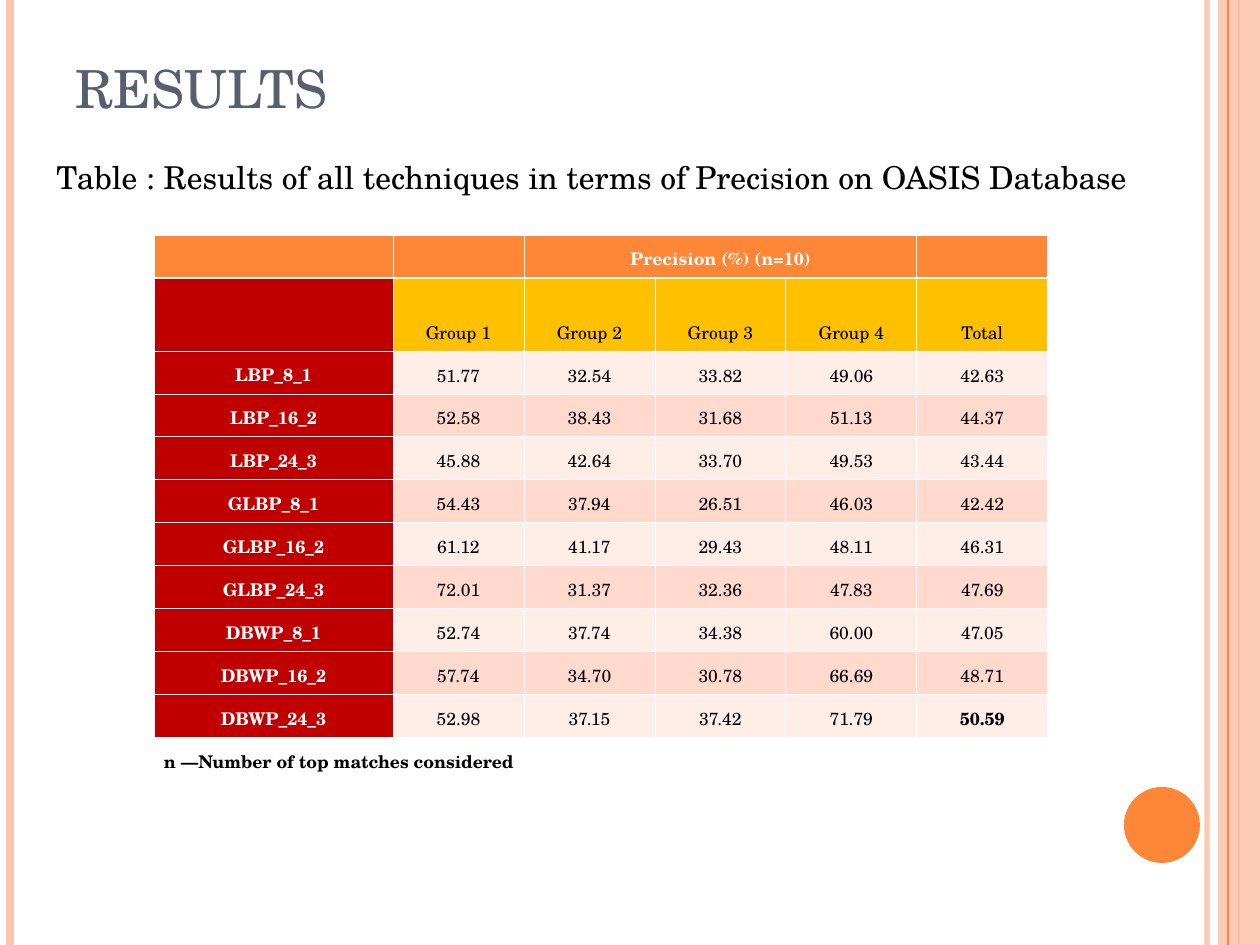
from pptx import Presentation
from pptx.dml.color import RGBColor
from pptx.enum.shapes import MSO_CONNECTOR, MSO_SHAPE
from pptx.enum.text import MSO_ANCHOR, MSO_AUTO_SIZE, PP_ALIGN
from pptx.oxml.ns import qn
from pptx.util import Pt
from lxml.etree import SubElement

PX = 914400 / 126
WIDTH, HEIGHT = 1260, 945
COLORS = {"orange": "FE8637", "peach": "FEC3AE", "slate": "575F6D", "red": "C00000",
          "gold": "FFC000", "light": "FFEDE8", "dark": "FFD9CE",
          "white": "FFFFFF", "black": "000000"}
HEADERS = ["Group 1", "Group 2", "Group 3", "Group 4", "Total"]
RESULTS = [
    ("LBP_8_1", "51.77", "32.54", "33.82", "49.06", "42.63"),
    ("LBP_16_2", "52.58", "38.43", "31.68", "51.13", "44.37"),
    ("LBP_24_3", "45.88", "42.64", "33.70", "49.53", "43.44"),
    ("GLBP_8_1", "54.43", "37.94", "26.51", "46.03", "42.42"),
    ("GLBP_16_2", "61.12", "41.17", "29.43", "48.11", "46.31"),
    ("GLBP_24_3", "72.01", "31.37", "32.36", "47.83", "47.69"),
    ("DBWP_8_1", "52.74", "37.74", "34.38", "60.00", "47.05"),
    ("DBWP_16_2", "57.74", "34.70", "30.78", "66.69", "48.71"),
    ("DBWP_24_3", "52.98", "37.15", "37.42", "71.79", "50.59"),
]


def emu(px):
    """Turn pixels into EMU."""
    return round(px * PX)


def rgb(name):
    """Look up a named colour."""
    return RGBColor.from_string(COLORS[name])


def write(tf, text, size=10, color="black", bold=False, align=PP_ALIGN.LEFT,
          spacing=None, font="TeX Gyre Schola"):
    """Put one formatted paragraph into a text frame."""
    p = tf.paragraphs[0]
    p.alignment = align
    p.line_spacing = spacing
    if not text:
        p._p.get_or_add_endParaRPr().set("sz", str(size * 100))
        return
    r = p.add_run()
    r.text = text
    r.font.name = font
    r.font.size = Pt(size)
    r.font.bold = bold
    r.font.color.rgb = rgb(color)


def set_alpha(sp, percent):
    """Make the solid colour of a shape or line partly transparent."""
    clr = next(sp._element.spPr.iter(qn("a:srgbClr")))
    SubElement(clr, qn("a:alpha")).set("val", str(percent * 1000))


def set_borders(cell, top, bottom):
    """Draw white borders round a table cell."""
    tcPr = cell._tc.get_or_add_tcPr()
    for side, width in (("L", 0.45), ("R", 0.45), ("T", top), ("B", bottom)):
        ln = SubElement(tcPr, qn(f"a:ln{side}"))
        ln.set("w", str(Pt(width)))
        fill = SubElement(ln, qn("a:solidFill"))
        SubElement(fill, qn("a:srgbClr")).set("val", COLORS["white"])


class SlideBuilder:
    """Adds styled elements to the current slide."""

    def __init__(self, prs):
        """Start a slide from the title-only layout."""
        self.s = prs.slides.add_slide(prs.slide_layouts[5])

    def stripe(self, x, color, width, alpha=None):
        """Draw a vertical line over the full slide height."""
        line = self.s.shapes.add_connector(
            MSO_CONNECTOR.STRAIGHT, emu(x), 0, emu(x), emu(HEIGHT))
        line.line.color.rgb = rgb(color)
        line.line.width = Pt(width)
        if alpha:
            set_alpha(line, alpha)
        SubElement(line._element.spPr, qn("a:effectLst"))

    def shape(self, kind, box, color, alpha=None):
        """Draw a filled shape with no outline."""
        sp = self.s.shapes.add_shape(kind, *map(emu, box))
        sp.shadow.inherit = False
        sp.fill.solid()
        sp.fill.fore_color.rgb = rgb(color)
        sp.line.fill.background()
        if alpha:
            set_alpha(sp, alpha)

    def title(self, text, box):
        """Place and fill the title placeholder."""
        sp = self.s.shapes.title
        sp.left, sp.top, sp.width, sp.height = map(emu, box)
        tf = sp.text_frame
        tf.auto_size = MSO_AUTO_SIZE.NONE
        tf.vertical_anchor = MSO_ANCHOR.BOTTOM
        write(tf, text, size=30, color="slate")

    def text(self, text, box, **fmt):
        """Add a wrapping text box."""
        tf = self.s.shapes.add_textbox(*map(emu, box)).text_frame
        tf.word_wrap = True
        write(tf, text, **fmt)

    def cell(self, cell, text, fill, top=0.45, bottom=0.45, align=PP_ALIGN.CENTER, **fmt):
        """Fill and format one table cell."""
        cell.vertical_anchor = MSO_ANCHOR.BOTTOM
        cell.margin_left = cell.margin_right = emu(10)
        cell.margin_top = cell.margin_bottom = emu(6)
        set_borders(cell, top, bottom)
        cell.fill.solid()
        cell.fill.fore_color.rgb = rgb(fill)
        write(cell.text_frame, text, align=align, spacing=1.15, **fmt)

    def table(self, left, top, widths, heights):
        """Add a plain table with the given column widths and row heights."""
        table = self.s.shapes.add_table(
            len(heights), len(widths), emu(left), emu(top),
            emu(sum(widths)), emu(sum(heights))).table
        table.first_row = table.horz_banding = False
        for column, width in zip(table.columns, widths):
            column.width = emu(width)
        for row, height in zip(table.rows, heights):
            row.height = emu(height)
        return table


def add_results_table(b):
    """Fill the table of precision by technique and group."""
    table = b.table(154, 235, [239] + [131] * 5, [43, 73] + [43] * 10)
    last = len(table.rows) - 1
    for col in range(6):
        b.cell(table.cell(0, col), "Precision (%) (n=10)" if col == 2 else "",
               "orange", bottom=1.47, color="white", bold=True)
        b.cell(table.cell(last, col), "" if col else "n —Number of top matches considered",
               "white", align=PP_ALIGN.JUSTIFY, bold=True)
    table.cell(0, 2).merge(table.cell(0, 4))
    table.cell(last, 0).merge(table.cell(last, 5))

    b.cell(table.cell(1, 0), "", "red", top=1.47)
    for col, header in enumerate(HEADERS, 1):
        b.cell(table.cell(1, col), header, "gold", top=1.47)

    best = max(float(row[-1]) for row in RESULTS)
    for i, (name, *values) in enumerate(RESULTS):
        b.cell(table.cell(i + 2, 0), name, "red", color="white", bold=True)
        for col, value in enumerate(values, 1):
            b.cell(table.cell(i + 2, col), value, "dark" if i % 2 else "light",
                   bold=col == 5 and float(value) == best)


def main():
    """Build the results slide."""
    prs = Presentation()
    prs.slide_width, prs.slide_height = emu(WIDTH), emu(HEIGHT)
    b = SlideBuilder(prs)
    b.stripe(1207, "peach", 3, alpha=93)
    b.stripe(10, "peach", 4.5)
    b.stripe(1239, "orange", 1.5)
    b.shape(MSO_SHAPE.RECTANGLE, (1218, 0, 42, HEIGHT), "peach", alpha=87)
    b.stripe(1228, "orange", 0.75)
    b.shape(MSO_SHAPE.OVAL, (1124, 787, 76, 76), "orange")
    b.title("RESULTS", (63, 38, 1029, 87))
    b.text("Table : Results of all techniques in terms of Precision on OASIS Database",
           (44, 152, 1142, 50), size=18)
    add_results_table(b)
    prs.save("out.pptx")


if __name__ == "__main__":
    main()
